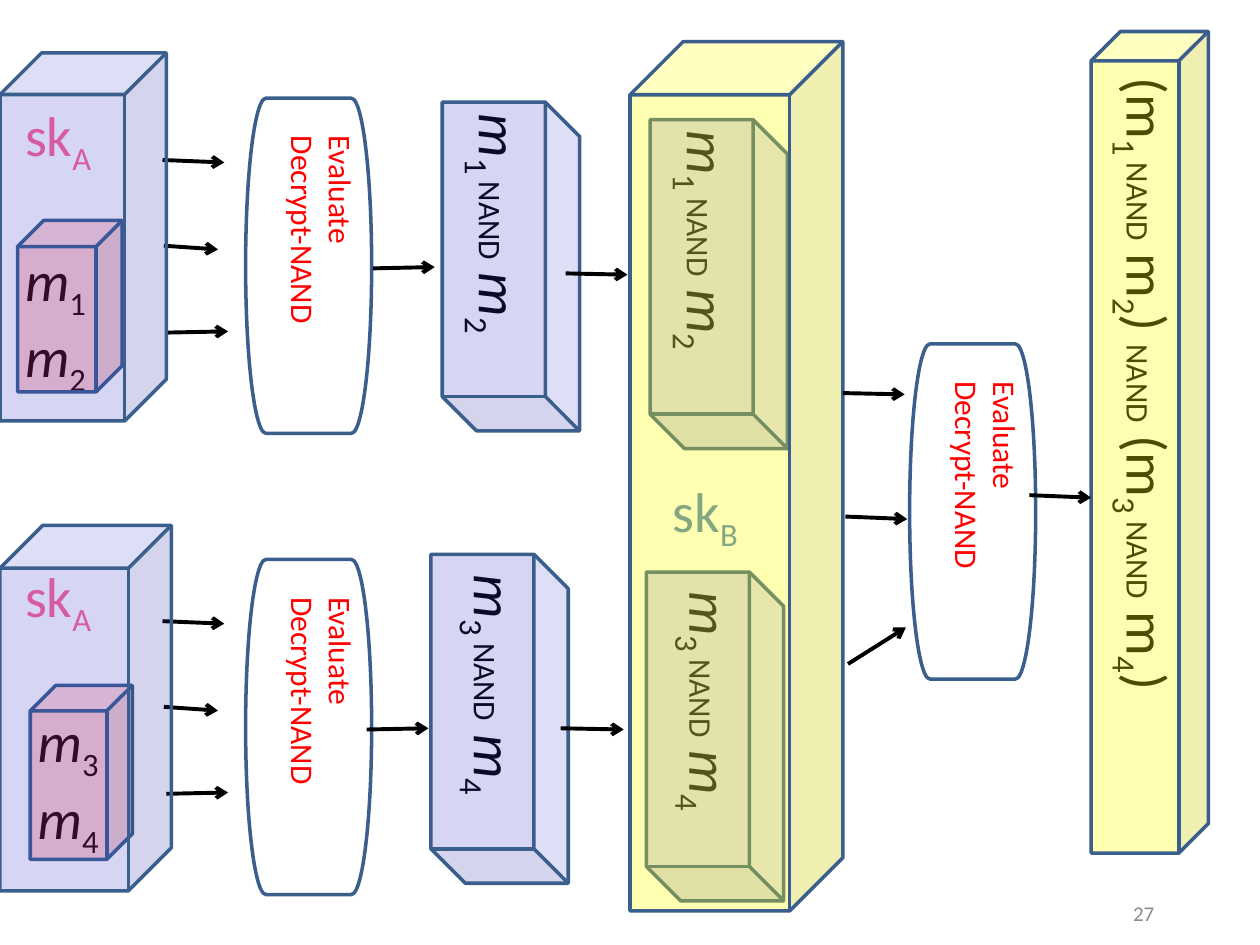
from dataclasses import dataclass

from lxml import etree
from pptx import Presentation
from pptx.dml.color import RGBColor
from pptx.enum import shapes, text
from pptx.oxml import ns
from pptx.util import Inches, Pt


@dataclass(frozen=True)
class Theme:
    font: str = "Calibri"
    ink: str = "000000"
    edge: str = "3A5F8C"
    blue: str = "3333CC"
    red: str = "FF0000"
    gold: str = "FFFF00"
    pink: str = "FF6699"
    sky: str = "4F81BD"
    grey: str = "8C8C8C"
    big: int = 32
    mid: int = 18
    small: int = 12
    gap: int = 39


T = Theme()
CUBE = shapes.MSO_SHAPE.CUBE
PILL = shapes.MSO_SHAPE.FLOWCHART_TERMINATOR


# Basic parts
def write(page, box, paras, size=T.big, color=T.ink, turn=0, wrap=False,
          align=None, anchor=None, grow=True, gap=0):
    """Each paragraph is a list of (words, format) runs; gap follows the first."""
    item = page.shapes.add_textbox(*map(Inches, box))
    item.rotation = turn
    frame = item.text_frame
    frame.word_wrap = wrap
    if grow:
        frame.auto_size = text.MSO_AUTO_SIZE.SHAPE_TO_FIT_TEXT
    if anchor is not None:
        frame.vertical_anchor = anchor
    for i, runs in enumerate(paras):
        para = frame.add_paragraph() if i else frame.paragraphs[0]
        para.alignment = align
        if gap and i == 1:
            para.space_before = Pt(gap)
        for words, style in runs:
            run = para.add_run()
            run.text = words
            font = run.font
            font.name = T.font
            font.size = Pt(style.get("size", size))
            font.color.rgb = RGBColor.from_string(style.get("color", color))
            font.italic = style.get("italic", False)
            if style.get("sub"):
                font._element.set("baseline", "-25000")


def solid(page, kind, box, fill=None, alpha=100, turn=0):
    item = page.shapes.add_shape(kind, *map(Inches, box))
    item.shadow.inherit = False
    item.rotation = turn
    item.line.color.rgb = RGBColor.from_string(T.edge)
    item.line.width = Pt(2)
    if fill is None:
        item.fill.background()
        return
    item.fill.solid()
    item.fill.fore_color.rgb = RGBColor.from_string(fill)
    tint = item._element.spPr.find(ns.qn("a:solidFill"))[0]
    etree.SubElement(tint, ns.qn("a:alpha"), val=str(alpha * 1000))


def arrow(page, x, y, dx, dy):
    ends = map(Inches, (x, y, x + dx, y + dy))
    line = page.shapes.add_connector(shapes.MSO_CONNECTOR.STRAIGHT, *ends)
    line.line.color.rgb = RGBColor.from_string(T.ink)
    line.line.width = Pt(2.25)
    props = line._element.spPr
    etree.SubElement(props.find(ns.qn("a:ln")), ns.qn("a:tailEnd"), type="arrow")
    etree.SubElement(props, ns.qn("a:effectLst"))


def name(letter, mark, italic=False):
    return [(letter, {"italic": italic}), (mark, {"sub": True})]


def nand(a, b, italic=False):
    return [*name("m", a + " ", italic), ("NAND", {"size": T.mid}),
            (" ", {}), *name("m", b, italic)]


def key(mark, color):
    return [("sk", {"color": color}), (mark, {"sub": True, "color": color})]


# Evaluation step
def gate(page, x, y):
    solid(page, PILL, (x, y, 1, 2.66))
    write(page, (x - 0.68, y + 0.93, 2.37, 0.91),
          [[("Evaluate", {})], [("Decrypt-NAND", {})]],
          size=T.mid, color=T.red, turn=90)


# Encrypted NAND of two messages
def result(page, x, y, pair, dx, dy):
    write(page, (x + dx, y + dy, 2.35, 0.64), [nand(*pair, italic=True)], turn=90)
    solid(page, CUBE, (x, y, 2.61, 1.09), T.blue, 20, turn=90)


# Key and messages sealed together, sent to a gate
def entry(page, top, outer, inner, pair, lead=""):
    for x, y, dx, dy in ((1.29, 0.49, 0.49, 0.02), (1.3, 1.17, 0.43, 0.03),
                         (1.32, 1.86, 0.49, -0.01)):
        arrow(page, x, top + y, dx, dy)
    write(page, (0.1, top - 0.03, 1.19, 2.26),
          [key("A", T.pink)] + [name(lead + "m", n, True) for n in pair],
          wrap=True, gap=T.gap)
    gate(page, 1.95, top)
    solid(page, CUBE, inner, T.red, 20)
    solid(page, CUBE, outer, T.blue, 20)


# Both results sealed with the second key
def vault(page, box):
    x, y, w, h = box
    result(page, x - 0.6, y + 1.38, "12", 0.05, 0.08)
    result(page, x - 0.63, y + 4.97, "34", 0.1, 0.15)
    write(page, (x + 0.24, y + 3.4, 0.74, 0.64), [key("B", T.sky)])
    solid(page, CUBE, box, T.gold, 30)


# Final nested NAND
def final(page, box):
    x, y, w, h = box
    runs = [("(", {}), *nand("1", "2"), (") ", {}), ("NAND", {"size": T.mid}),
            (" (", {}), *nand("3", "4"), (")", {})]
    write(page, (x - 2.74, y + 3.14, 6.39, 0.64), [runs], turn=90)
    solid(page, CUBE, box, T.gold, 30)


def main():
    deck = Presentation()
    deck.slide_width, deck.slide_height = Inches(10), Inches(7.5)
    page = deck.slides.add_slide(deck.slide_layouts[6])

    # First layer
    entry(page, 0.78, (0, 0.42, 1.32, 2.92), (0.14, 1.75, 0.83, 1.36), "12")
    entry(page, 4.44, (0, 4.17, 1.36, 2.9), (0.24, 5.44, 0.81, 1.38), "34", " ")
    result(page, 2.75, 1.57, "12", 0.05, 0.09)
    result(page, 2.66, 5.16, "34", 0.1, 0.16)

    # Second layer
    vault(page, (5, 0.33, 1.69, 6.9))
    gate(page, 7.22, 2.73)
    final(page, (8.66, 0.25, 0.93, 6.52))

    # Flow between the stages
    for x, y, dx, dy in ((2.96, 2.13, 0.49, -0.01), (2.91, 5.79, 0.49, -0.01),
                         (4.49, 2.17, 0.49, 0.01), (4.45, 5.78, 0.5, 0.01),
                         (6.69, 3.12, 0.49, 0.01), (6.71, 4.1, 0.49, 0.02),
                         (6.73, 5.27, 0.46, -0.29), (8.17, 3.93, 0.49, 0.02)):
        arrow(page, x, y, dx, dy)

    # Page number
    write(page, (7.18, 7, 2.08, 0.5), [[("27", {})]], size=T.small, color=T.grey,
          wrap=True, align=text.PP_ALIGN.RIGHT, anchor=text.MSO_ANCHOR.MIDDLE,
          grow=False)
    deck.save("out.pptx")


if __name__ == "__main__":
    main()
